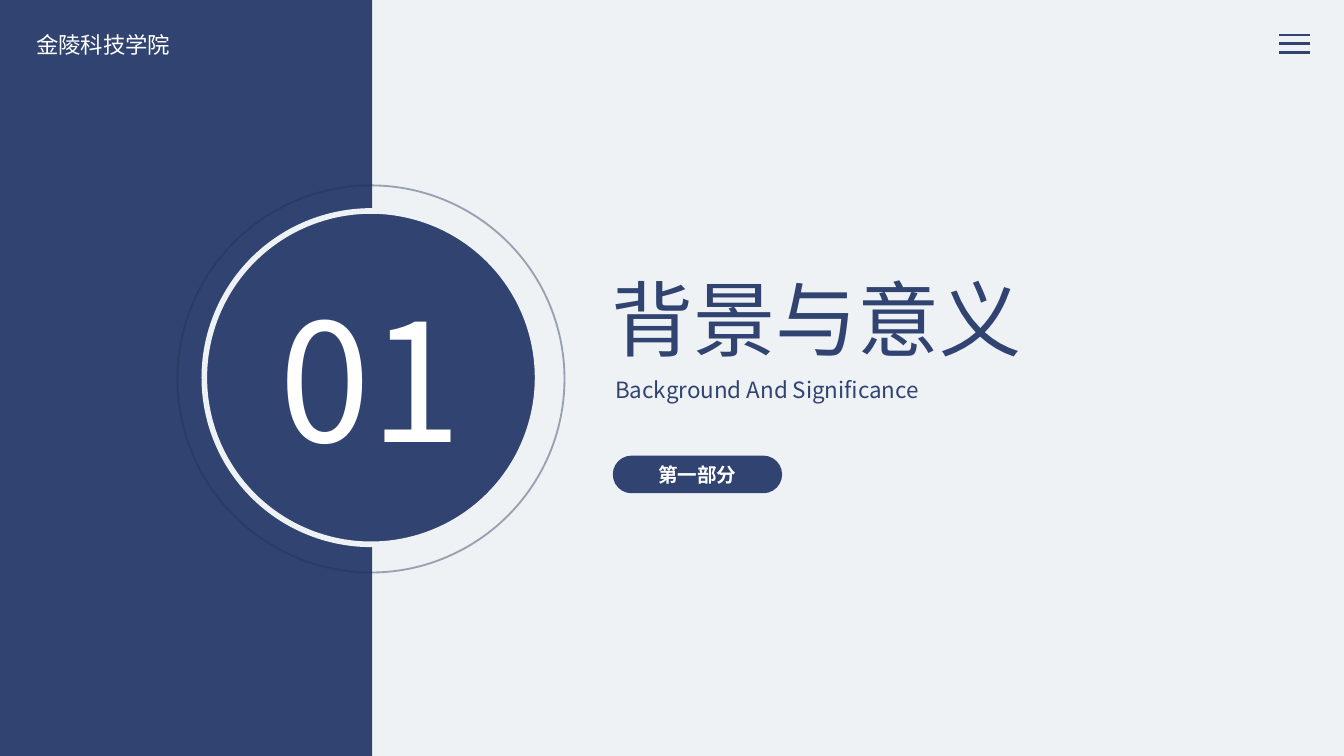
from dataclasses import dataclass

from lxml.etree import SubElement
from pptx import Presentation
from pptx.dml.color import RGBColor
from pptx.enum.shapes import MSO_CONNECTOR, MSO_SHAPE
from pptx.enum.text import MSO_ANCHOR, MSO_AUTO_SIZE, PP_ALIGN
from pptx.oxml.ns import qn
from pptx.shapes.autoshape import Shape
from pptx.slide import Slide
from pptx.util import Inches, Pt

FONT = "Noto Sans CJK SC"
NAVY, DARK, PALE, WHITE = "304371", "243254", "EEF2F5", "FFFFFF"


@dataclass
class Form:
    kind: MSO_SHAPE
    left: float
    top: float
    width: float
    height: float
    fill: str = ""
    line: str = ""
    weight: float = 0


@dataclass
class Label:
    text: str
    left: float
    top: float
    width: float
    height: float
    size: float
    color: str
    align: PP_ALIGN = PP_ALIGN.LEFT
    wrap: bool = False


def paint(code: str) -> RGBColor:
    return RGBColor.from_string(code)


def style(shape: Shape, text: str, size: float, color: str,
          align: PP_ALIGN, bold: bool = False) -> None:
    shape.text_frame.text = text
    para = shape.text_frame.paragraphs[0]
    para.alignment = align
    font = para.runs[0].font
    font.name, font.size, font.bold = FONT, Pt(size), bold
    font.color.rgb = paint(color)
    # Chinese glyphs take the East Asian typeface
    SubElement(para.runs[0]._r.rPr, qn("a:ea"), typeface=FONT)


def add_form(slide: Slide, form: Form) -> Shape:
    shape = slide.shapes.add_shape(
        form.kind, Inches(form.left), Inches(form.top),
        Inches(form.width), Inches(form.height))
    shape.shadow.inherit = False
    if form.fill:
        shape.fill.solid()
        shape.fill.fore_color.rgb = paint(form.fill)
    else:
        shape.fill.background()
    if form.line:
        shape.line.color.rgb = paint(form.line)
        shape.line.width = Pt(form.weight)
    else:
        shape.line.fill.background()
    return shape


def add_label(slide: Slide, label: Label) -> None:
    box = slide.shapes.add_textbox(
        Inches(label.left), Inches(label.top),
        Inches(label.width), Inches(label.height))
    box.text_frame.word_wrap = label.wrap
    box.text_frame.auto_size = MSO_AUTO_SIZE.SHAPE_TO_FIT_TEXT
    style(box, label.text, label.size, label.color, label.align)


def add_bar(slide: Slide, top: float) -> None:
    bar = slide.shapes.add_connector(
        MSO_CONNECTOR.STRAIGHT, Inches(9.52), Inches(top),
        Inches(9.75), Inches(top))
    bar.line.color.rgb = paint(NAVY)
    bar.line.width = Pt(1.5)
    SubElement(bar._element.spPr, qn("a:effectLst"))


def main() -> None:
    deck = Presentation()
    deck.slide_width, deck.slide_height = Inches(10), Inches(5.625)
    slide = deck.slides.add_slide(deck.slide_layouts[6])
    slide.background.fill.solid()
    slide.background.fill.fore_color.rgb = paint(PALE)

    # Side panel and menu icon
    add_form(slide, Form(MSO_SHAPE.RECTANGLE, 0, 0, 2.77, 5.7, NAVY))
    for row in range(3):
        add_bar(slide, 0.26 + row * 0.065)

    # Number badge: faint ring around a solid disc
    ring = add_form(slide, Form(MSO_SHAPE.OVAL, 1.32, 1.38, 2.88, 2.88,
                                line=DARK, weight=1))
    tint = ring.line._ln.find(".//" + qn("a:srgbClr"))
    SubElement(tint, qn("a:alpha"), val="41000")
    add_form(slide, Form(MSO_SHAPE.OVAL, 1.52, 1.57, 2.48, 2.48,
                         NAVY, PALE, 3))

    # Section pill
    pill = add_form(slide, Form(MSO_SHAPE.ROUNDED_RECTANGLE,
                                4.56, 3.39, 1.26, 0.28, NAVY))
    pill.adjustments[0] = 0.5
    pill.text_frame.vertical_anchor = MSO_ANCHOR.MIDDLE
    style(pill, "第一部分", 10.5, WHITE, PP_ALIGN.CENTER, True)

    # School, title, subtitle and number
    labels = [
        Label("金陵科技学院", 0.17, 0.18, 1.21, 0.3, 12, WHITE),
        Label("背景与意义", 4.45, 1.95, 3.26, 0.84, 44, NAVY),
        Label("Background And Significance", 4.48, 2.75, 4.74, 0.3,
              12, NAVY, wrap=True),
        Label("01", 1.84, 2.02, 1.83, 1.58, 88, WHITE, PP_ALIGN.CENTER),
    ]
    for label in labels:
        add_label(slide, label)

    deck.save("out.pptx")


if __name__ == "__main__":
    main()
